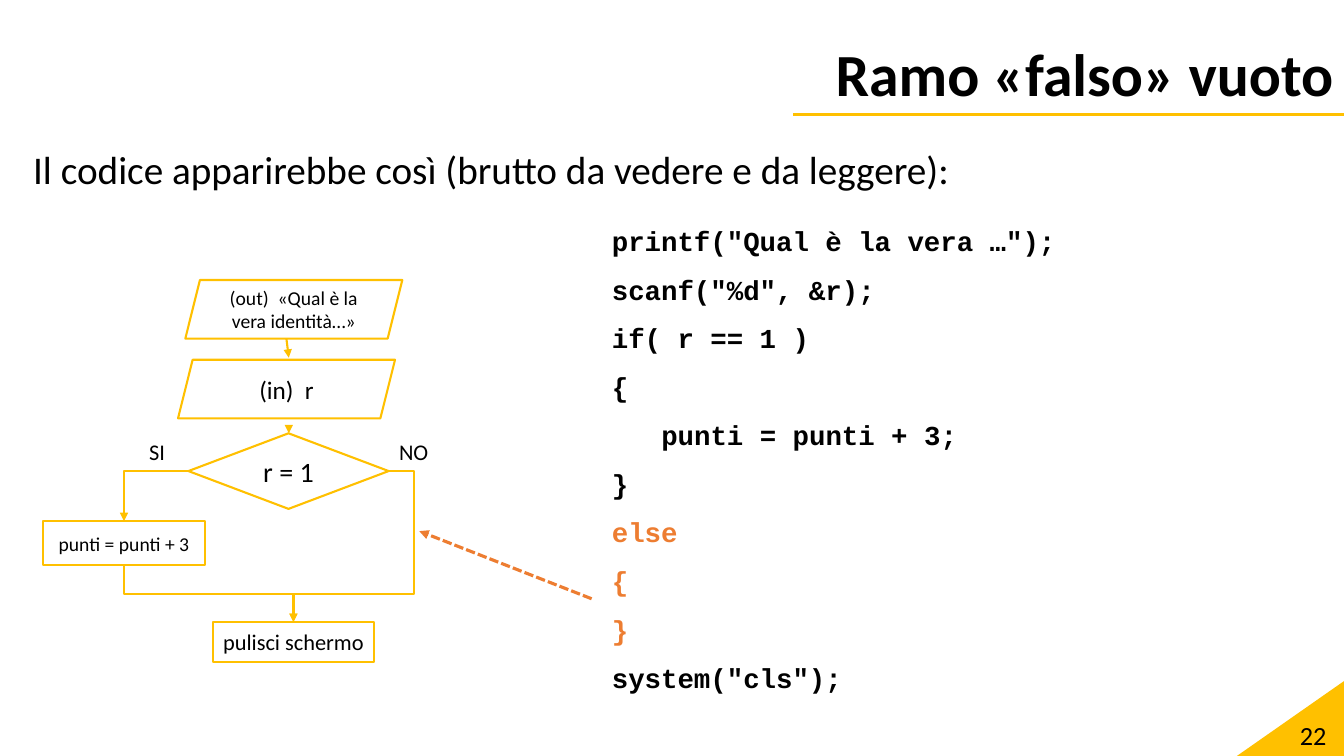
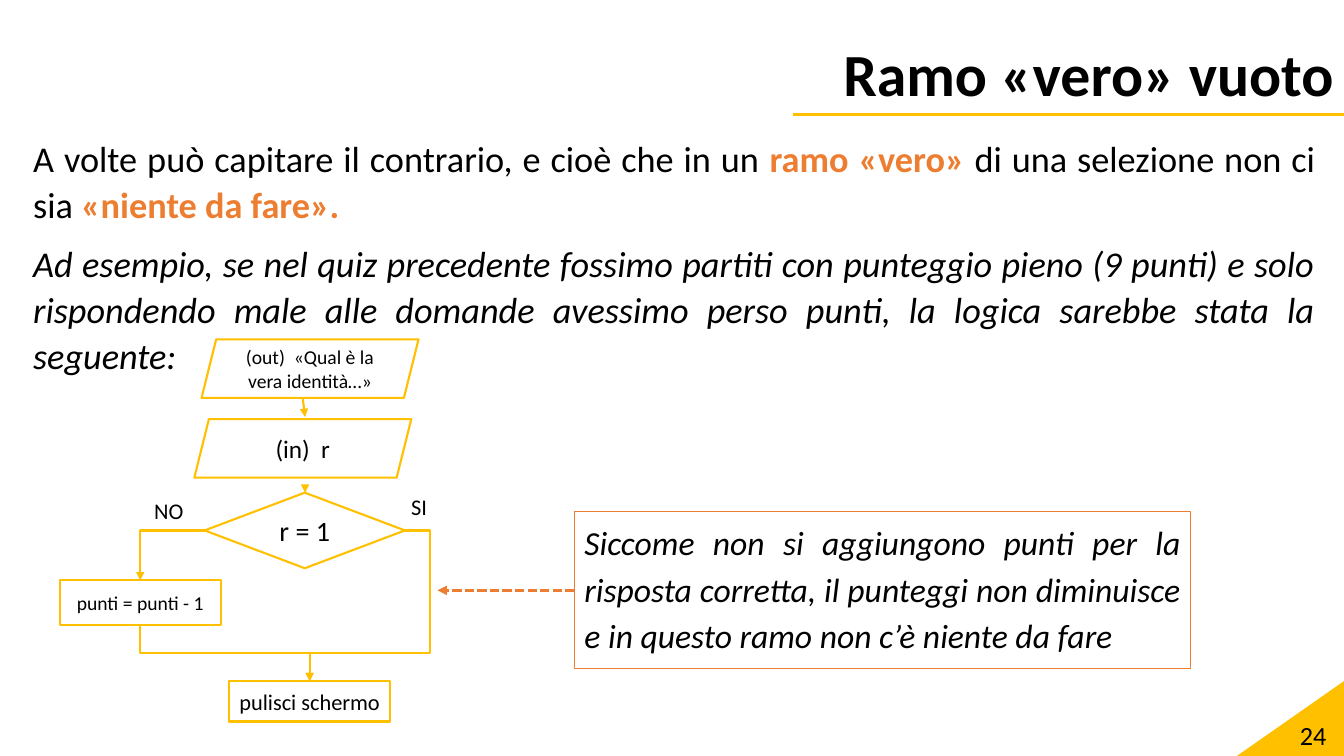
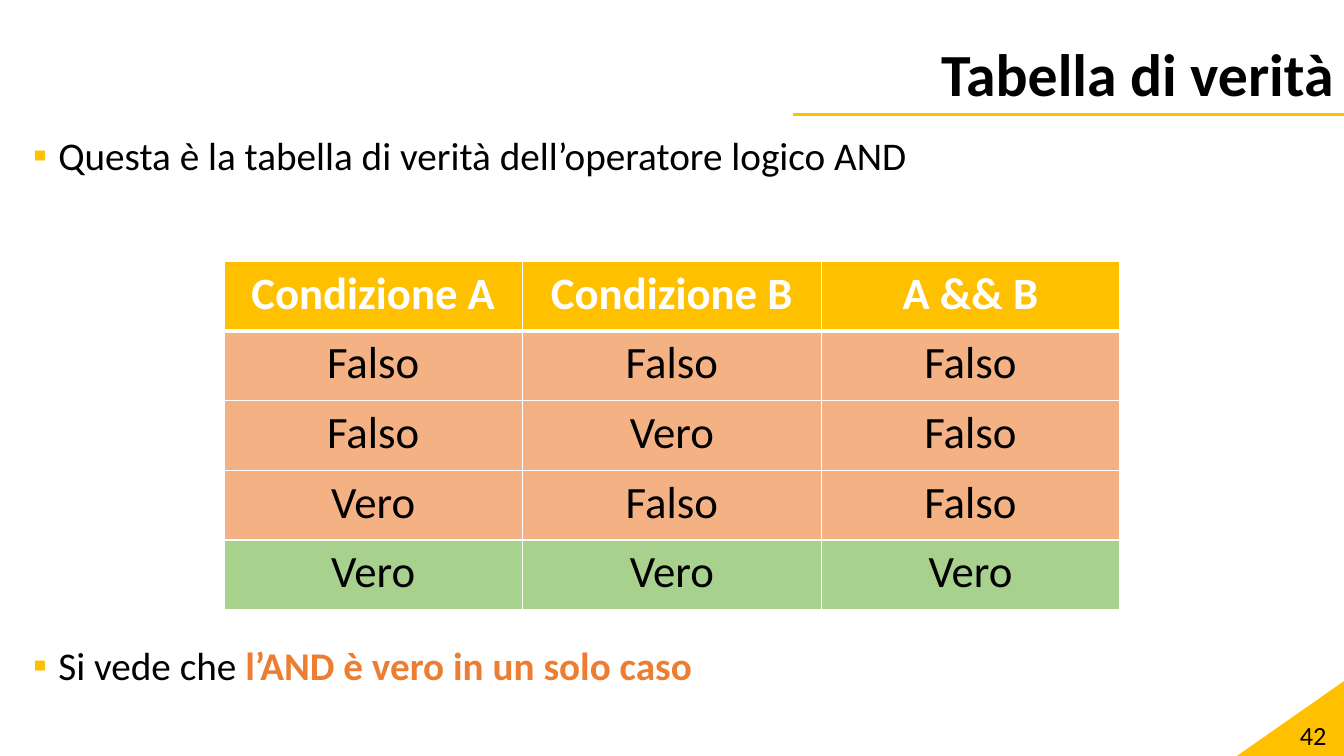
from lxml import etree
from pptx import Presentation, util as u
from pptx.dml.color import RGBColor
from pptx.enum import dml, shapes, text
from pptx.oxml.ns import qn

GOLD, ORANGE, BLACK, WHITE = "FFC000", "ED7D31", "000000", "FFFFFF"
PEACH, GREEN = "F4B183", "A9D18E"
LEFT, CENTER, RIGHT, JUSTIFY = (
    text.PP_ALIGN.LEFT, text.PP_ALIGN.CENTER, text.PP_ALIGN.RIGHT, text.PP_ALIGN.JUSTIFY)
TOP, MIDDLE = text.MSO_ANCHOR.TOP, text.MSO_ANCHOR.MIDDLE
KEY = dict(color=ORANGE, bold=True)
PRESET = shapes.MSO_SHAPE


def rgb(value):
    return RGBColor.from_string(value)


def pts(*values):
    return [u.Pt(v) for v in values]


class Deck:
    """Holds the presentation, its style and the current slide."""

    def __init__(self):
        self.prs = Presentation()
        self.prs.slide_width, self.prs.slide_height = pts(960, 540)
        self.s = None

    def slide(self, title, number):
        self.s = self.prs.slides.add_slide(self.prs.slide_layouts[6])
        corner = self.shape(PRESET.RIGHT_TRIANGLE, (883.5, 486.5, 76.5, 53.5), fill=GOLD, line=None)
        corner.element.spPr.xfrm.set("flipH", "1")
        self.line((566.5, 82), (960, 82), width=2.25)
        self.box((0, 28.8, 960, 53.3), [title], anchor=MIDDLE, size=42.7, bold=True,
                 align=RIGHT, spacing=0.9)
        self.box((738.5, 511, 216, 28.8), [number], anchor=MIDDLE, size=18.7, align=RIGHT)

    def fill_text(self, tf, paragraphs, size, anchor=TOP, align=LEFT, spacing=1, before=0,
                  font="Calibri", **style):
        tf.word_wrap = True
        tf.vertical_anchor = anchor
        for i, runs in enumerate(paragraphs):
            p = tf.add_paragraph() if i else tf.paragraphs[0]
            p.alignment, p.line_spacing, p.space_before = align, spacing, u.Pt(before)
            for run in [runs] if isinstance(runs, str) else runs:
                content, extra = (run, {}) if isinstance(run, str) else run
                look = {**style, **extra}
                r = p.add_run()
                r.text = content
                r.font.name, r.font.size = font, u.Pt(size)
                r.font.bold, r.font.italic = look.get("bold", False), look.get("italic", False)
                r.font.color.rgb = rgb(look.get("color", BLACK))
        return tf

    def box(self, at, paragraphs, **style):
        return self.fill_text(self.s.shapes.add_textbox(*pts(*at)).text_frame, paragraphs, **style)

    def shape(self, kind, at, paragraphs=(), fill=WHITE, line=GOLD, width=1.5, **style):
        sp = self.s.shapes.add_shape(kind, *pts(*at))
        sp.shadow.inherit = False
        sp.fill.solid()
        sp.fill.fore_color.rgb = rgb(fill)
        if line:
            sp.line.color.rgb, sp.line.width = rgb(line), u.Pt(width)
        else:
            sp.line.fill.background()
        if paragraphs:
            self.fill_text(sp.text_frame, paragraphs, **style)
        return sp

    def node(self, kind, at, label, size):
        return self.shape(kind, at, [label], size=size, align=CENTER, anchor=MIDDLE)

    def line(self, start, end, color=GOLD, width=1.5, arrow=False, dashed=False,
             kind=shapes.MSO_CONNECTOR.STRAIGHT):
        c = self.s.shapes.add_connector(kind, *pts(*start, *end))
        c.line.color.rgb, c.line.width = rgb(color), u.Pt(width)
        if dashed:
            c.line.dash_style = dml.MSO_LINE.SQUARE_DOT
        spPr = c.element.spPr
        if arrow:
            etree.SubElement(spPr.find(qn("a:ln")), qn("a:tailEnd"), type="triangle")
        etree.SubElement(spPr, qn("a:effectLst"))
        return c

    def pointer(self, start, end):
        self.line(start, end, ORANGE, 2.25, arrow=True, dashed=True)

    def elbow(self, source, source_site, target, preset, adjust=(), downward=False):
        c = self.line((0, 0), (0, 0), arrow=True, kind=shapes.MSO_CONNECTOR.ELBOW)
        c.begin_connect(source, source_site)
        c.end_connect(target, 0)
        spPr = c.element.spPr
        geometry = spPr.find(qn("a:prstGeom"))
        geometry.set("prst", preset)
        guides = geometry.find(qn("a:avLst"))
        for i, value in enumerate(adjust, 1):
            etree.SubElement(guides, qn("a:gd"), name=f"adj{i}", fmla=f"val {value}")
        if downward:
            x, y, w, h = c.left, c.top, c.width, c.height
            c.left, c.top = x + (w - h) // 2, y + (h - w) // 2
            c.width, c.height = h, w
            spPr.xfrm.set("rot", "16200000")
            spPr.xfrm.set("flipH", "1")

    def flowchart(self, x, y, action, left_label, right_label):
        def at(dx, dy, *size):
            return (x + dx, y + dy, *size)

        test = self.node(PRESET.DIAMOND, at(103.6, 109.5, 143, 54), "r = 1", 20)
        step = self.node(PRESET.RECTANGLE, at(0, 172.2, 115.2, 31.6), action, 14)
        self.node(PRESET.PARALLELOGRAM, at(101.4, 0, 155, 41.8),
                  "(out)  «Qual è la vera identità…»", 14)
        self.node(PRESET.PARALLELOGRAM, at(96.2, 57, 155, 41.8), "(in)  r", 18)
        clear = self.node(PRESET.RECTANGLE, at(121, 244.2, 115.2, 28.8), "pulisci schermo", 16)
        self.line(at(173.6, 41.8), at(175.3, 55.5), arrow=True)
        self.line(at(175.3, 105), at(175.3, 109.5), arrow=True)
        self.elbow(test, 3, clear, "bentConnector4", (-26400, 81400))
        self.elbow(test, 1, step, "bentConnector2")
        self.elbow(step, 2, clear, "bentConnector3", (50000,), downward=True)
        for label, dx, dy, w in (left_label, right_label):
            self.box(at(dx, dy, w, 26.6), [label], size=16)

    def table(self, at, rows, fills, size):
        x, y, w, h = at
        table = self.s.shapes.add_table(len(rows), len(rows[0]), *pts(x, y, w, h)).table
        for i, (row, fill) in enumerate(zip(rows, fills)):
            table.rows[i].height = u.Pt(h / len(rows))
            for j, label in enumerate(row):
                cell = table.cell(i, j)
                self.borders(cell, top=3 if i == 1 else 1, bottom=3 if i == 0 else 1)
                cell.fill.solid()
                cell.fill.fore_color.rgb = rgb(fill)
                self.fill_text(cell.text_frame, [label], size, align=CENTER, bold=i == 0,
                               color=BLACK if i else WHITE)

    def borders(self, cell, top, bottom):
        tcPr = cell._tc.get_or_add_tcPr()
        for side, width in zip("LRTB", (1, 1, top, bottom)):
            ln = etree.SubElement(tcPr, qn(f"a:ln{side}"), w=str(u.Pt(width)))
            fill = etree.SubElement(ln, qn("a:solidFill"))
            etree.SubElement(fill, qn("a:srgbClr"), val=WHITE)

    def bullet(self, p):
        pPr = p._p.get_or_add_pPr()
        pPr.set("marL", str(u.Pt(18)))
        pPr.set("indent", str(u.Pt(-18)))
        color = etree.SubElement(pPr, qn("a:buClr"))
        etree.SubElement(color, qn("a:srgbClr"), val=GOLD)
        etree.SubElement(pPr, qn("a:buFont"), typeface="Calibri")
        etree.SubElement(pPr, qn("a:buChar"), char="▪")


deck = Deck()
body = dict(align=JUSTIFY, before=10)

deck.slide("Ramo «falso» vuoto", "22")
deck.box((16.6, 92.2, 930, 153.4), ["Il codice apparirebbe così (brutto da vedere e da leggere):"],
         size=28, spacing=1.25, **body)
deck.flowchart(31, 200, "punti = punti + 3", ("SI", 68.4, 109.5, 28.8), ("NO", 247, 109.5, 46))
orange = dict(color=ORANGE)
code = deck.box(
    (430, 155.5, 474, 366.5),
    ['printf("Qual è la vera …");', 'scanf("%d", &r);', "if( r == 1 )", "{", "punti = punti + 3;", "}",
     [("else", orange)], [("{", orange)], [("}", orange)], 'system("cls");'],
    size=19.6, spacing=1.05, font="Courier New", bold=True, **body)
code.paragraphs[4]._p.get_or_add_pPr().set("marL", str(u.Pt(35.3)))
deck.pointer((422.6, 427.7), (299.5, 379.4))

deck.slide("Ramo «vero» vuoto", "24")
deck.box(
    (16.6, 92.2, 930, 153.4),
    [["A volte può capitare il contrario, e cioè che in un ", ("ramo «vero» ", KEY),
      "di una selezione non ci sia ", ("«niente da fare».", KEY)],
     [("Ad esempio, se nel quiz precedente fossimo partiti con punteggio pieno (9 punti) e solo "
       "rispondendo male alle domande avessimo perso punti, la logica sarebbe stata la seguente:",
       dict(italic=True))]],
    size=25.9, spacing=1.05, **body)
deck.flowchart(42.6, 242.4, "punti = punti - 1", ("NO", 60.4, 109.5, 46), ("SI", 244, 106.6, 28.8))
deck.shape(PRESET.RECTANGLE, (410.4, 365.3, 440, 112.3),
           ["Siccome non si aggiungono punti per la risposta corretta, il punteggi non diminuisce "
            "e in questo ramo non c’è niente da fare"],
           line=ORANGE, width=1, size=24, spacing=1.15, italic=True, **body)
deck.pointer((410.4, 421.7), (312.5, 421.7))

deck.slide("Tabella di verità", "42")
tf = deck.box((16.6, 82, 930, 458),
              ["Questa è la tabella di verità dell’operatore logico AND",
               ["Si vede che ", ("l’AND è vero in un solo caso", KEY)]],
              size=28, spacing=1.25, **body)
tf.paragraphs[1].space_before = u.Pt(322)
for p in tf.paragraphs:
    deck.bullet(p)
F, V = "Falso", "Vero"
deck.table((160, 186.7, 640, 248.8),
           [("Condizione A", "Condizione B", "A && B"), (F, F, F), (F, V, F), (V, F, F), (V, V, V)],
           [GOLD, PEACH, PEACH, PEACH, GREEN], size=32)

deck.prs.save("out.pptx")
